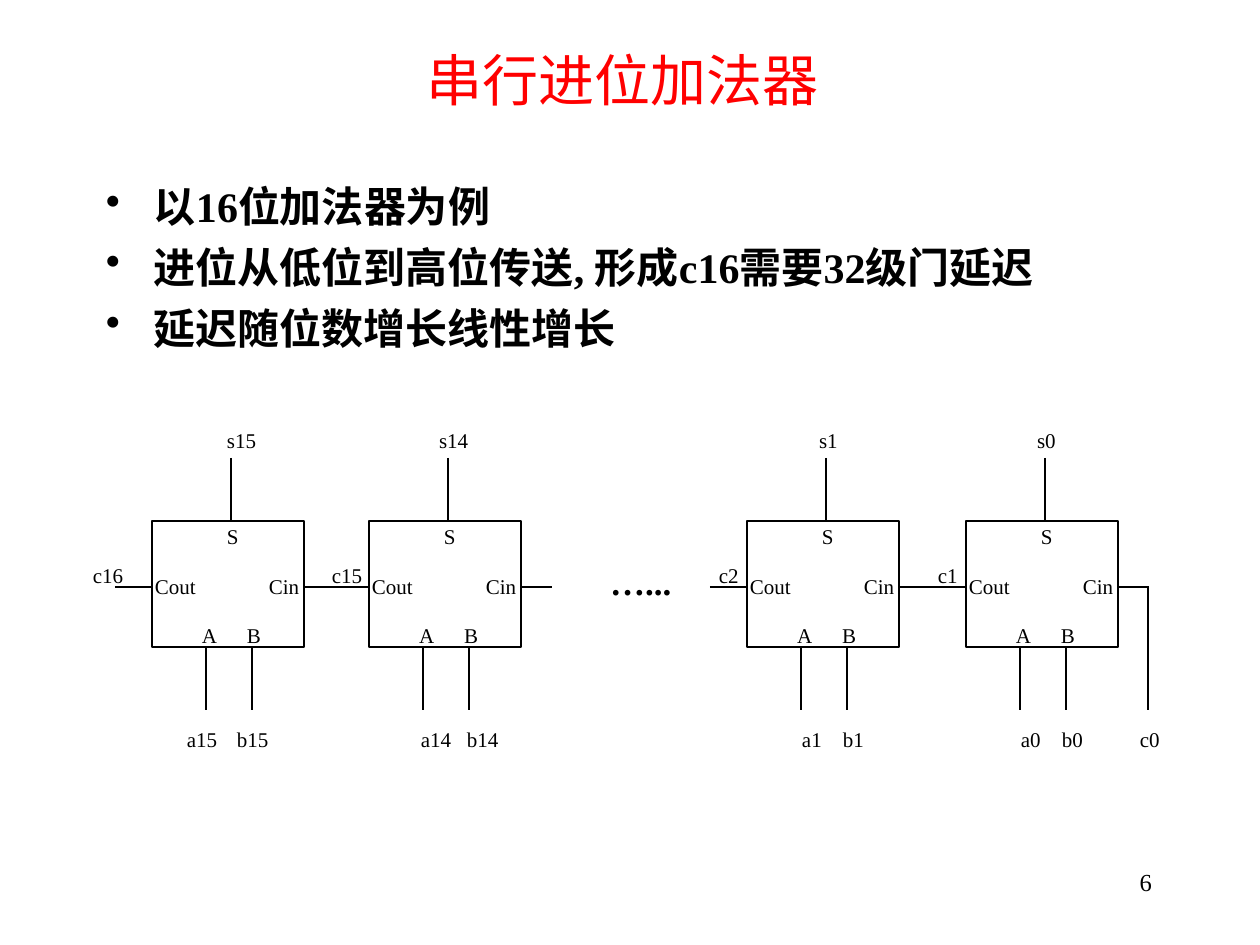
from pptx import Presentation
from pptx.dml.color import RGBColor
from pptx.enum.shapes import MSO_CONNECTOR as Connector, MSO_SHAPE as Shape
from pptx.enum.text import MSO_ANCHOR as Anchor, MSO_AUTO_SIZE as AutoSize, PP_ALIGN as Align
from pptx.oxml.ns import qn
from pptx.util import Pt
from lxml.etree import SubElement

COLORS = {"text": "000000", "title": "FF0000", "fill": "FFFFFF"}
SERIF = "Times New Roman"
INSETS = (13, 6)


def px(length):
    return round(length * 914400 / 126)


def color(name):
    return RGBColor.from_string(COLORS[name])


def write_text(frame, text, size=12, font=SERIF, fill="text", bold=False,
               align=Align.LEFT, anchor=Anchor.TOP, insets=INSETS):
    frame.word_wrap = True
    frame.auto_size = AutoSize.NONE
    frame.vertical_anchor = anchor
    frame.margin_left = frame.margin_right = px(insets[0])
    frame.margin_top = frame.margin_bottom = px(insets[1])
    frame.text = text
    for paragraph in frame.paragraphs:
        paragraph.alignment = align
        for run in paragraph.runs:
            run.font.name = font
            run.font.size = Pt(size)
            run.font.bold = bold
            run.font.color.rgb = color(fill)


def add_text(slide, box, text, **text_format):
    shape = slide.shapes.add_textbox(*map(px, box))
    write_text(shape.text_frame, text, **text_format)
    return shape.text_frame


def add_tabbed_text(slide, box, labels, positions, **text_format):
    frame = add_text(slide, box, "\t".join(labels), **text_format)
    properties = frame.paragraphs[0]._p.get_or_add_pPr()
    tab_list = SubElement(properties, qn("a:tabLst"))
    for position in positions:
        SubElement(tab_list, qn("a:tab"), pos=str(px(position)), algn="l")


def add_line(slide, start, end):
    line = slide.shapes.add_connector(Connector.STRAIGHT, *map(px, start + end))
    line.line.color.rgb = color("text")
    line.line.width = Pt(0.75)
    SubElement(line._element.spPr, qn("a:effectLst"))


def add_title(slide, box):
    title = slide.shapes.title
    title.left, title.top, title.width, title.height = map(px, box)
    write_text(title.text_frame, "串行进位加法器", size=32, font="Arial",
               fill="title", align=Align.CENTER, anchor=Anchor.MIDDLE)


def add_bullets(slide, box, items):
    frame = add_text(slide, box, "\n".join(items), size=24, bold=True)
    for paragraph in frame.paragraphs:
        paragraph.line_spacing = 1.1
        paragraph.space_before = Pt(3)
        properties = paragraph._p.get_or_add_pPr()
        properties.set("marL", str(px(48)))
        properties.set("indent", str(px(-48)))
        SubElement(properties, qn("a:buChar"), char="•")


def add_adder(slide, box):
    left, top, width, height = box
    carry_y = top + 66
    add_line(slide, (left - 37, carry_y), (left + 183, carry_y))

    body = slide.shapes.add_shape(Shape.RECTANGLE, *map(px, box))
    body.shadow.inherit = False
    body.fill.solid()
    body.fill.fore_color.rgb = color("fill")
    body.line.color.rgb = color("text")
    body.line.width = Pt(0.75)

    flush = {"insets": (0, 0)}
    add_tabbed_text(slide, (left + 50, top + 102, 68, 25), ["A", "B"], [45], **flush)
    add_tabbed_text(slide, (left + 3, top + 53, 149, 25), ["Cout", "Cin"], [114], **flush)
    add_text(slide, (left + 75, top + 3, 14, 25), "S", **flush)

    bottom = top + height
    for pin_x in (left + 54, left + 100):
        add_line(slide, (pin_x, bottom), (pin_x, bottom + 63))
    add_line(slide, (left + 79, top - 63), (left + 79, top))


def add_signal_row(slide, box, signals):
    start = box[0] + INSETS[0]
    positions = [x - start for x in list(signals.values())[1:]]
    add_tabbed_text(slide, box, signals, positions)


def add_adder_chain(slide, box):
    left, top, width, height = box
    adder_top = top + 99
    for offset in (72, 289, 667, 886):
        add_adder(slide, (left + offset, adder_top, 152, 126))
    add_text(slide, (left + 517, top + 132, 105, 55), "…...", size=20, bold=True)
    add_signal_row(slide, (left + 94, top + 299, 1005, 38), {
        "a15": 187, "b15": 237, "a14": 421, "b14": 467, "a1": 802,
        "b1": 843, "a0": 1021, "b0": 1062, "c0": 1140})
    add_line(slide, (left + 1068, adder_top + 66), (left + 1068, adder_top + 189))
    add_signal_row(slide, (left + 134, top, 874, 38),
                   {"s15": 227, "s14": 439, "s1": 819, "s0": 1037})
    add_signal_row(slide, (left, top + 135, 1060, 38),
                   {"c16": 93, "c15": 332, "c2": 719, "c1": 938})


def main():
    presentation = Presentation()
    presentation.slide_width, presentation.slide_height = px(1260), px(945)
    slide = presentation.slides.add_slide(presentation.slide_layouts[5])
    add_title(slide, (87, 0, 1071, 158))
    add_bullets(slide, (93, 170, 1071, 192), [
        "以16位加法器为例",
        "进位从低位到高位传送, 形成c16需要32级门延迟",
        "延迟随位数增长线性增长",
    ])
    add_adder_chain(slide, (80, 422, 1099, 337))
    add_text(slide, (903, 861, 262, 63), "6", size=14, align=Align.RIGHT)
    presentation.save("out.pptx")


if __name__ == "__main__":
    main()
